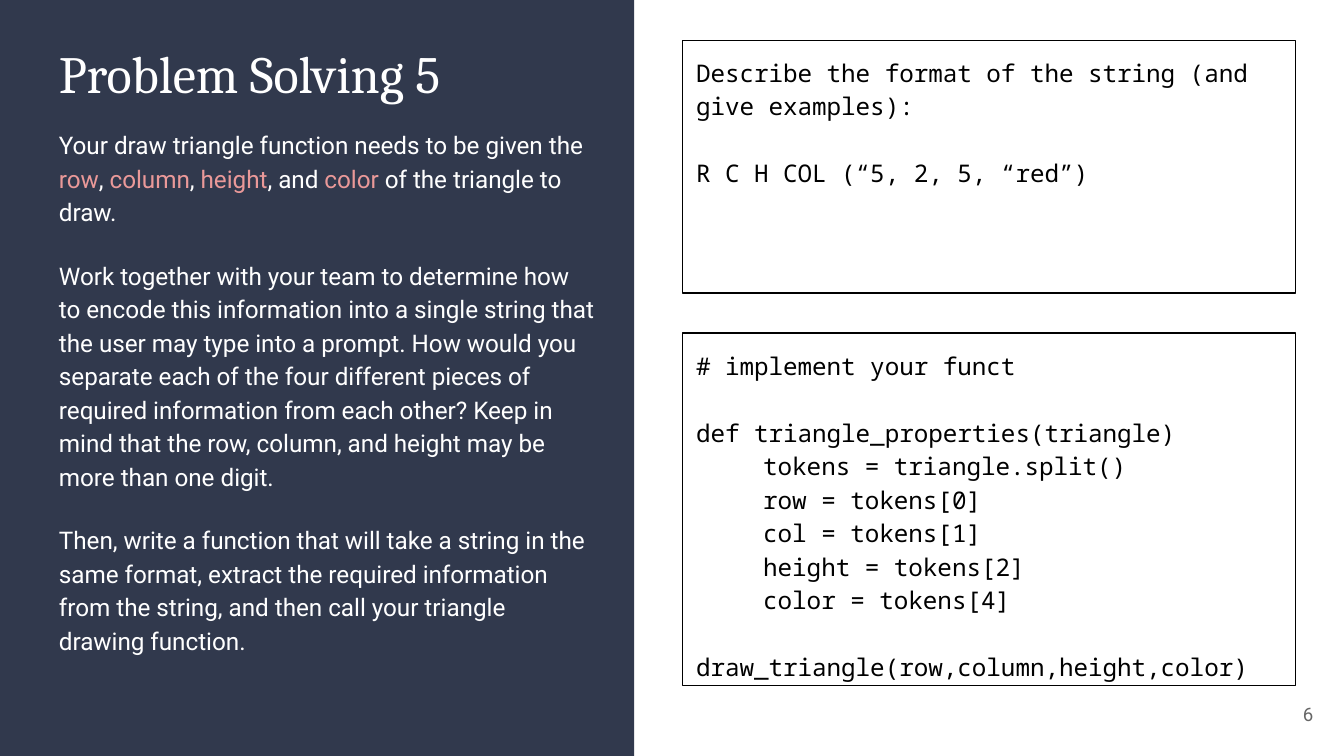
import pptx
import pptx.dml.color
import pptx.enum.shapes
import pptx.enum.text
import pptx.util

Pt = pptx.util.Pt
RGBColor = pptx.dml.color.RGBColor
ALIGN = pptx.enum.text.PP_ALIGN
ANCHOR = pptx.enum.text.MSO_ANCHOR
RECTANGLE = pptx.enum.shapes.MSO_SHAPE.RECTANGLE

NAVY = RGBColor(0x31, 0x39, 0x4D)
WHITE = RGBColor(0xFF, 0xFF, 0xFF)
BLACK = RGBColor(0, 0, 0)
PINK = RGBColor(0xEA, 0x99, 0x99)
GREY = RGBColor(0x66, 0x66, 0x66)

TITLE = {"name": "Cambria", "size": Pt(28)}
BODY = {"name": "Roboto", "size": Pt(13)}
CODE = {"name": "Noto Sans Mono", "size": Pt(13)}
NUMBER = {"name": "Roboto", "size": Pt(10)}
BODY_LINE = {"line_spacing": 1.15}
BODY_GAP = {"line_spacing": 1.15, "space_before": Pt(16)}
CODE_GAP = {"line_spacing": 1.15, "space_before": Pt(18)}


def write(box, paragraphs, font, anchor=ANCHOR.TOP):
    """Fill a box with (paragraph format, [(text, color), ...]) entries."""
    frame = box.text_frame
    frame_format = {"word_wrap": True, "vertical_anchor": anchor}
    for side in ("left", "right", "top", "bottom"):
        frame_format["margin_" + side] = Pt(7.2)
    for key, value in frame_format.items():
        setattr(frame, key, value)
    for index, (para_format, spans) in enumerate(paragraphs):
        para = frame.add_paragraph() if index else frame.paragraphs[0]
        for key, value in {"alignment": ALIGN.LEFT, **para_format}.items():
            setattr(para, key, value)
        for text, color in spans:
            span = para.add_run()
            span.text = text
            for key, value in font.items():
                setattr(span.font, key, value)
            span.font.color.rgb = color


deck = pptx.Presentation()
deck.slide_width, deck.slide_height = Pt(720), Pt(405)
slide = deck.slides.add_slide(deck.slide_layouts[6])
shapes = slide.shapes

# Dark panel on the left
panel = shapes.add_shape(RECTANGLE, 0, 0, Pt(339.8), Pt(405))
panel.shadow.inherit = False
panel.fill.solid()
panel.fill.fore_color.rgb = NAVY
panel.line.fill.background()

# Title
title = shapes.add_textbox(Pt(24.5), Pt(15.1), Pt(291.6), Pt(50.4))
write(title, [({}, [("Problem Solving 5", WHITE)])], TITLE)

# Task description
task = shapes.add_textbox(Pt(24.5), Pt(60.5), Pt(301), Pt(286.6))
write(task, [
    (BODY_LINE, [
        ("Your draw triangle function needs to be given the ", WHITE),
        ("row", PINK), (", ", WHITE), ("column", PINK), (", ", WHITE),
        ("height", PINK), (", and ", WHITE), ("color", PINK),
        (" of the triangle to draw.", WHITE)]),
    (BODY_GAP, [(
        "Work together with your team to determine how to encode this "
        "information into a single string that the user may type into a "
        "prompt. How would you separate each of the four different pieces of "
        "required information from each other? Keep in mind that the row, "
        "column, and height may be more than one digit.", WHITE)]),
    (BODY_GAP, [(
        "Then, write a function that will take a string in the same format, "
        "extract the required information from the string, and then call your "
        "triangle drawing function.", WHITE)]),
], BODY)

# Outlined answer boxes: top, height, opening line, lines after the gap
answers = [
    (21.6, 135.4, "Describe the format of the string (and give examples):",
     ["R C H COL (“5, 2, 5, “red”)"]),
    (178.4, 188.8, "# implement your funct",
     ["def triangle_properties(triangle)",
      "\ttokens = triangle.split()",
      "\trow = tokens[0]",
      "\tcol = tokens[1]",
      "\theight = tokens[2]",
      "\tcolor = tokens[4]",
      "\tdraw_triangle(row,column,height,color)"]),
]
for top, height, opening, lines in answers:
    answer = shapes.add_shape(RECTANGLE, Pt(365.8), Pt(top), Pt(328.2), Pt(height))
    answer.shadow.inherit = False
    answer.fill.background()
    answer.line.color.rgb = BLACK
    answer.line.width = Pt(0.75)
    paragraphs = [(BODY_LINE, [(opening, BLACK)])]
    for index, line in enumerate(lines):
        paragraphs.append((BODY_LINE if index else CODE_GAP, [(line, BLACK)]))
    write(answer, paragraphs, CODE)

# Slide number
number = shapes.add_textbox(Pt(667.4), Pt(367.2), Pt(43.2), Pt(31))
write(number, [({"alignment": ALIGN.RIGHT}, [("6", GREY)])], NUMBER, ANCHOR.MIDDLE)

deck.save("out.pptx")
